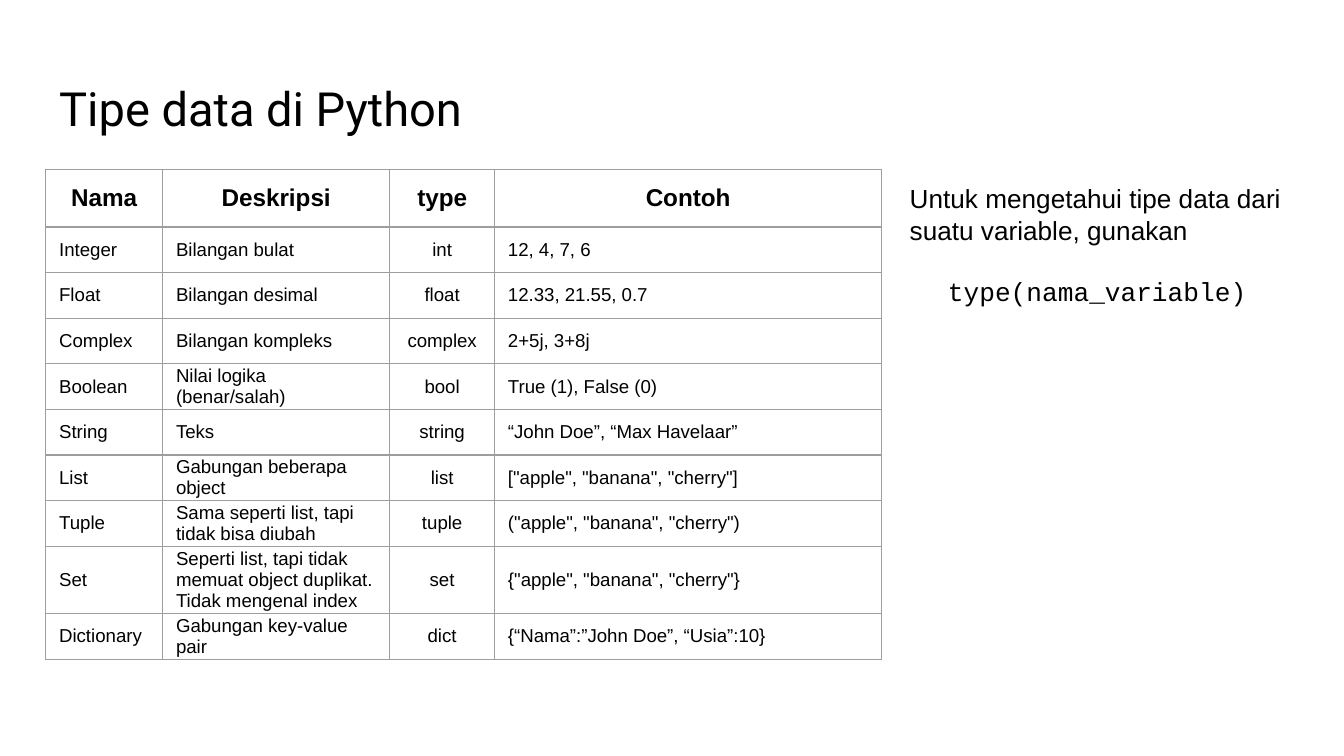
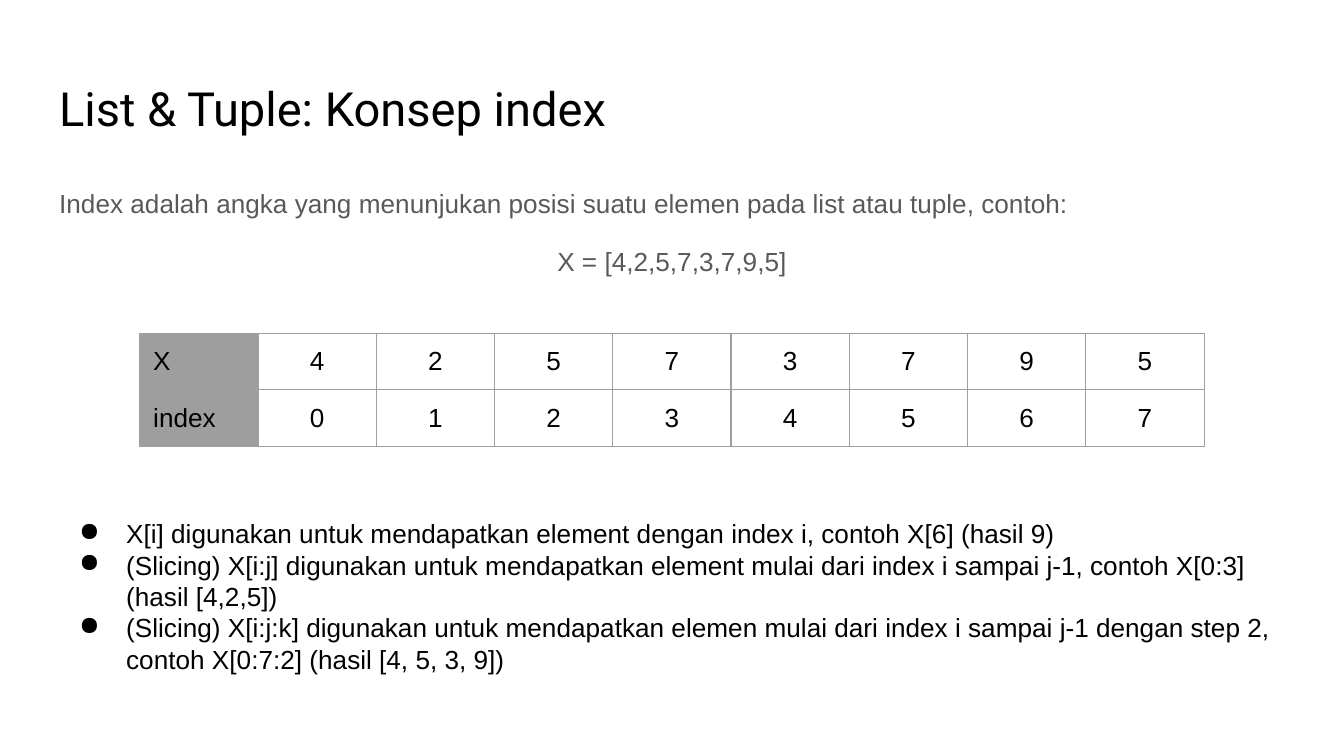
"""Build two slides on Python data types and list indexing."""
from dataclasses import dataclass
from typing import NamedTuple

from lxml import etree
from pptx import Presentation
from pptx.dml.color import RGBColor
from pptx.enum.text import MSO_ANCHOR, MSO_AUTO_SIZE, PP_ALIGN
from pptx.oxml.ns import qn
from pptx.util import Emu, Inches, Pt

LEFT, MID = PP_ALIGN.LEFT, PP_ALIGN.CENTER
TOP, CENTRE = MSO_ANCHOR.TOP, MSO_ANCHOR.MIDDLE
GROW, FIXED = MSO_AUTO_SIZE.SHAPE_TO_FIT_TEXT, MSO_AUTO_SIZE.NONE
WIDE, HIGH = Inches(10), Inches(5.625)


@dataclass(frozen=True)
class Theme:
    ink: str = "000000"
    soft: str = "595959"
    rule: str = "9E9E9E"
    paper: str = "FFFFFF"
    sans: str = "Arial"
    mono: str = "Courier New"
    head: str = "Roboto"
    title: float = 25.2
    text: float = 14
    label: float = 13
    small: float = 10
    line: float = 0.75
    pad: float = 0.1


LOOK = Theme()


class Run(NamedTuple):
    text: str
    size: float = LOOK.text
    font: str = LOOK.sans
    color: str = LOOK.ink
    bold: bool = False


class Para(NamedTuple):
    runs: tuple[Run, ...]
    align: PP_ALIGN = LEFT
    before: float = 0
    space: float = 1.0
    mark: str = ""


class Box(NamedTuple):
    """Hold a place in hundredths of the slide's width and height."""
    left: float
    top: float
    width: float
    height: float


class Cell(NamedTuple):
    para: Para
    fill: str = ""


class Grid(NamedTuple):
    left: float
    top: float
    cols: list[float]
    rows: list[float]
    cells: list[list[Cell]]
    anchor: MSO_ANCHOR
    pad: float


EDGE, SPAN, START = 3.4, 93.2, 22.4
TITLE = Box(EDGE, 8.7, SPAN, 11.2)
BODY = Box(EDGE, START, SPAN, 66.5)
HINT = Box(66.7, START, 29.9, 20.3)
NOTES = Box(EDGE, 66.7, SPAN, 24.6)

HEADS = ("Nama", "Deskripsi", "type", "Contoh")
TYPES = (
    ("Integer", "Bilangan bulat", "int", "12, 4, 7, 6"),
    ("Float", "Bilangan desimal", "float", "12.33, 21.55, 0.7"),
    ("Complex", "Bilangan kompleks", "complex", "2+5j, 3+8j"),
    ("Boolean", "Nilai logika (benar/salah)", "bool", "True (1), False (0)"),
    ("String", "Teks", "string", "“John Doe”, “Max Havelaar”"),
    ("List", "Gabungan beberapa object", "list",
     '["apple", "banana", "cherry"]'),
    ("Tuple", "Sama seperti list, tapi tidak bisa diubah", "tuple",
     '("apple", "banana", "cherry")'),
    ("Set", "Seperti list, tapi tidak memuat object duplikat. "
     "Tidak mengenal index", "set", '{"apple", "banana", "cherry"}'),
    ("Dictionary", "Gabungan key-value pair", "dict",
     "{“Nama”:”John Doe”, “Usia”:10}"),
)
ITEMS = (4, 2, 5, 7, 3, 7, 9, 5)
RULES = (
    "X[i] digunakan untuk mendapatkan element dengan index i, "
    "contoh X[6] (hasil 9)",
    "(Slicing) X[i:j] digunakan untuk mendapatkan element mulai dari "
    "index i sampai j-1, contoh X[0:3] (hasil [4,2,5])",
    "(Slicing) X[i:j:k] digunakan untuk mendapatkan elemen mulai dari "
    "index i sampai j-1 dengan step 2, contoh X[0:7:2] (hasil [4, 5, 3, 9])",
)


def across(share: float) -> Emu:
    return Emu(round(WIDE * share / 100))


def down(share: float) -> Emu:
    return Emu(round(HIGH * share / 100))


def place(shape, box: Box) -> None:
    shape.left, shape.top = across(box.left), down(box.top)
    shape.width, shape.height = across(box.width), down(box.height)


def bullet(para, mark: str) -> None:
    props = para._p.get_or_add_pPr()
    props.set("marL", str(Inches(0.5) if mark else 0))
    props.set("indent", str(Inches(-0.35) if mark else 0))
    if mark:
        tint = etree.SubElement(props, qn("a:buClr"))
        etree.SubElement(tint, qn("a:srgbClr"), val=LOOK.ink)
        etree.SubElement(props, qn("a:buChar"), char=mark)
    else:
        etree.SubElement(props, qn("a:buNone"))


def write(frame, paras: list[Para]) -> None:
    for i, item in enumerate(paras):
        para = frame.add_paragraph() if i else frame.paragraphs[0]
        bullet(para, item.mark)
        para.alignment = item.align
        para.line_spacing = item.space
        para.space_before, para.space_after = Pt(item.before), Pt(0)
        for part in item.runs:
            run = para.add_run()
            run.text = part.text
            font = run.font
            font.name, font.size, font.bold = part.font, Pt(part.size), part.bold
            font.color.rgb = RGBColor.from_string(part.color)


def fill_box(shape, box: Box, paras: list[Para], size=FIXED) -> None:
    place(shape, box)
    frame = shape.text_frame
    frame.word_wrap, frame.auto_size = True, size
    frame.vertical_anchor = TOP
    frame.margin_left = frame.margin_right = Inches(LOOK.pad)
    frame.margin_top = frame.margin_bottom = Inches(LOOK.pad)
    write(frame, paras)


def add_box(slide, box: Box, paras: list[Para]) -> None:
    fill_box(slide.shapes.add_textbox(0, 0, 0, 0), box, paras, GROW)


def border(cell) -> None:
    props = cell._tc.get_or_add_tcPr()
    for side in "LRTB":
        line = etree.SubElement(props, qn(f"a:ln{side}"), w=str(Pt(LOOK.line)))
        paint = etree.SubElement(line, qn("a:solidFill"))
        etree.SubElement(paint, qn("a:srgbClr"), val=LOOK.rule)


def add_grid(slide, grid: Grid) -> None:
    table = slide.shapes.add_table(
        len(grid.rows), len(grid.cols), across(grid.left), down(grid.top),
        across(sum(grid.cols)), down(sum(grid.rows))).table
    table.first_row = table.horz_banding = False
    for col, width in zip(table.columns, grid.cols):
        col.width = across(width)
    for row, height, line in zip(table.rows, grid.rows, grid.cells):
        row.height = down(height)
        for cell, item in zip(row.cells, line):
            cell.margin_left = cell.margin_right = Inches(LOOK.pad)
            cell.margin_top = cell.margin_bottom = Inches(grid.pad)
            cell.vertical_anchor = grid.anchor
            border(cell)
            if item.fill:
                cell.fill.solid()
                cell.fill.fore_color.rgb = RGBColor.from_string(item.fill)
            else:
                cell.fill.background()
            write(cell.text_frame, [item.para])


def add_slide(deck, layout: int, title: str):
    slide = deck.slides.add_slide(deck.slide_layouts[layout])
    back = slide.background.fill
    back.solid()
    back.fore_color.rgb = RGBColor.from_string(LOOK.paper)
    run = Run(title, LOOK.title, LOOK.head)
    fill_box(slide.shapes.title, TITLE, [Para((run,))])
    return slide


def types_slide(deck) -> None:
    slide = add_slide(deck, 5, "Tipe data di Python")
    heads = [Cell(Para((Run(name, LOOK.label, bold=True),), MID))
             for name in HEADS]
    cells = [[Cell(Para((Run(text, LOOK.small),), MID if i == 2 else LEFT))
              for i, text in enumerate(row)] for row in TYPES]
    tall = [8.89 if row[0] == "Set" else 6.04 for row in TYPES]
    add_grid(slide, Grid(EDGE, START, [8.7, 16.9, 7.8, 28.8], [7.64, *tall],
                         [heads, *cells], CENTRE, 0))
    add_box(slide, HINT, [
        Para((Run("Untuk mengetahui tipe data dari suatu variable, gunakan"),)),
        Para((Run("type(nama_variable)", font=LOOK.mono),), MID, before=16),
    ])


def index_slide(deck) -> None:
    slide = add_slide(deck, 1, "List & Tuple: Konsep index")
    intro = ("Index adalah angka yang menunjukan posisi suatu elemen "
             "pada list atau tuple, contoh:")
    sample = f"X = [{','.join(map(str, ITEMS))}]"
    fill_box(slide.placeholders[1], BODY, [
        Para((Run(intro, color=LOOK.soft),), space=1.15),
        Para((Run(sample, color=LOOK.soft),), MID, 12, 1.15),
    ])
    cells = [[Cell(Para((Run(name),)), LOOK.rule),
              *(Cell(Para((Run(str(n)),), MID)) for n in row)]
             for name, row in (("X", ITEMS), ("index", range(len(ITEMS))))]
    add_grid(slide, Grid(10.4, 44.1, [8.8] * (len(ITEMS) + 1), [7.47] * 2,
                         cells, TOP, LOOK.pad))
    add_box(slide, NOTES, [Para((Run(rule),), mark="●") for rule in RULES])


def main() -> None:
    deck = Presentation()
    deck.slide_width, deck.slide_height = WIDE, HIGH
    types_slide(deck)
    index_slide(deck)
    deck.save("out.pptx")


if __name__ == "__main__":
    main()
